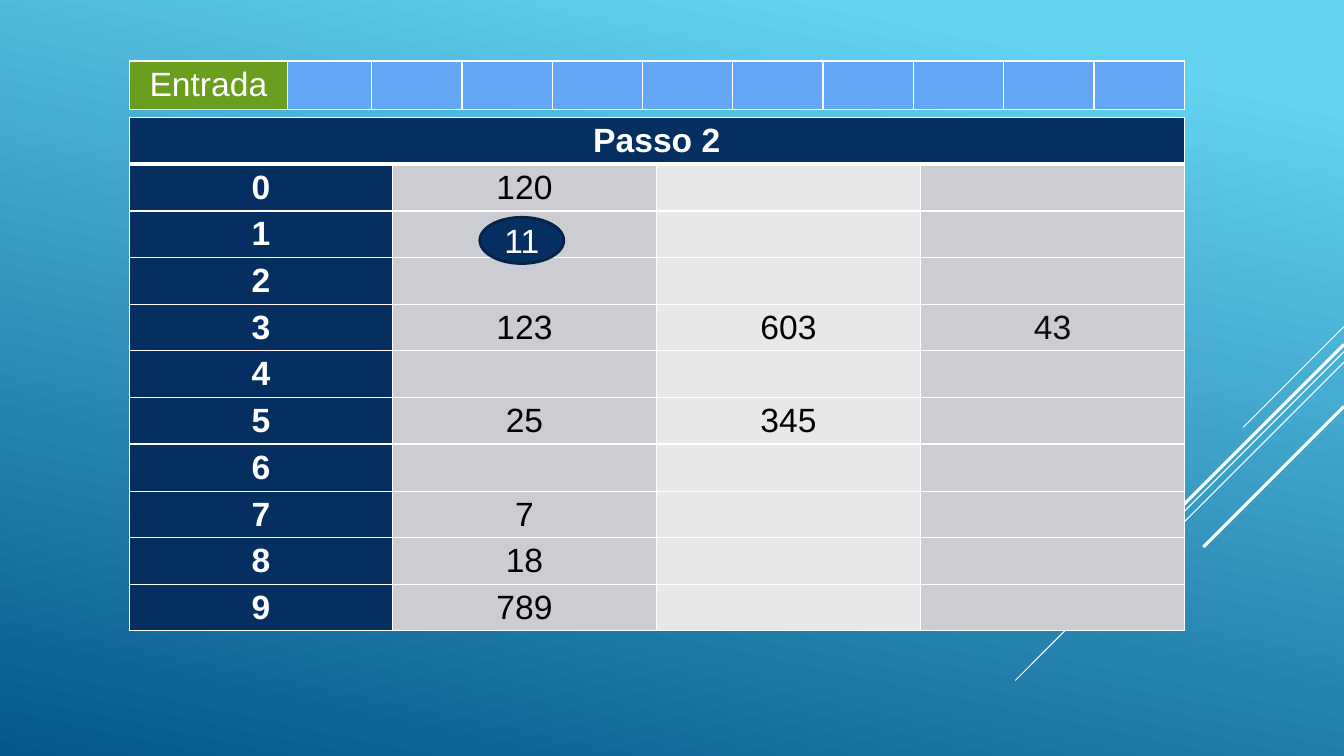
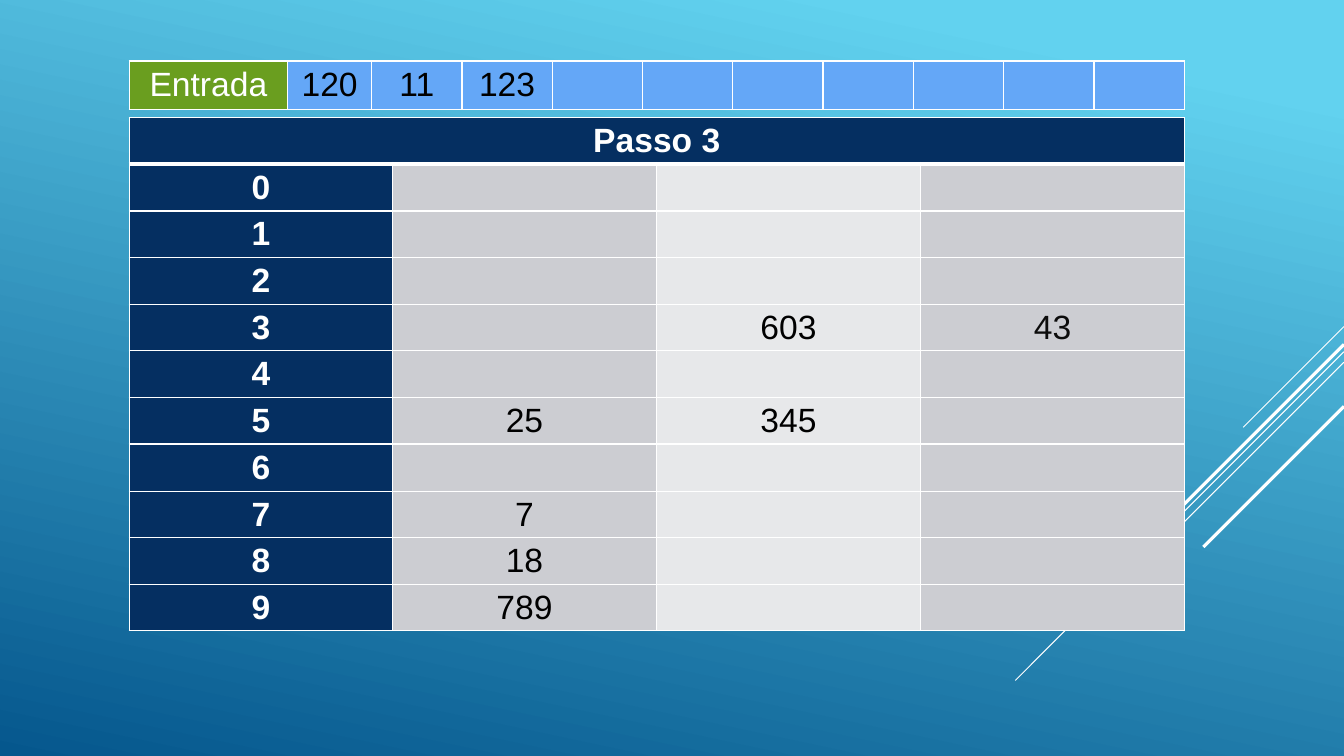
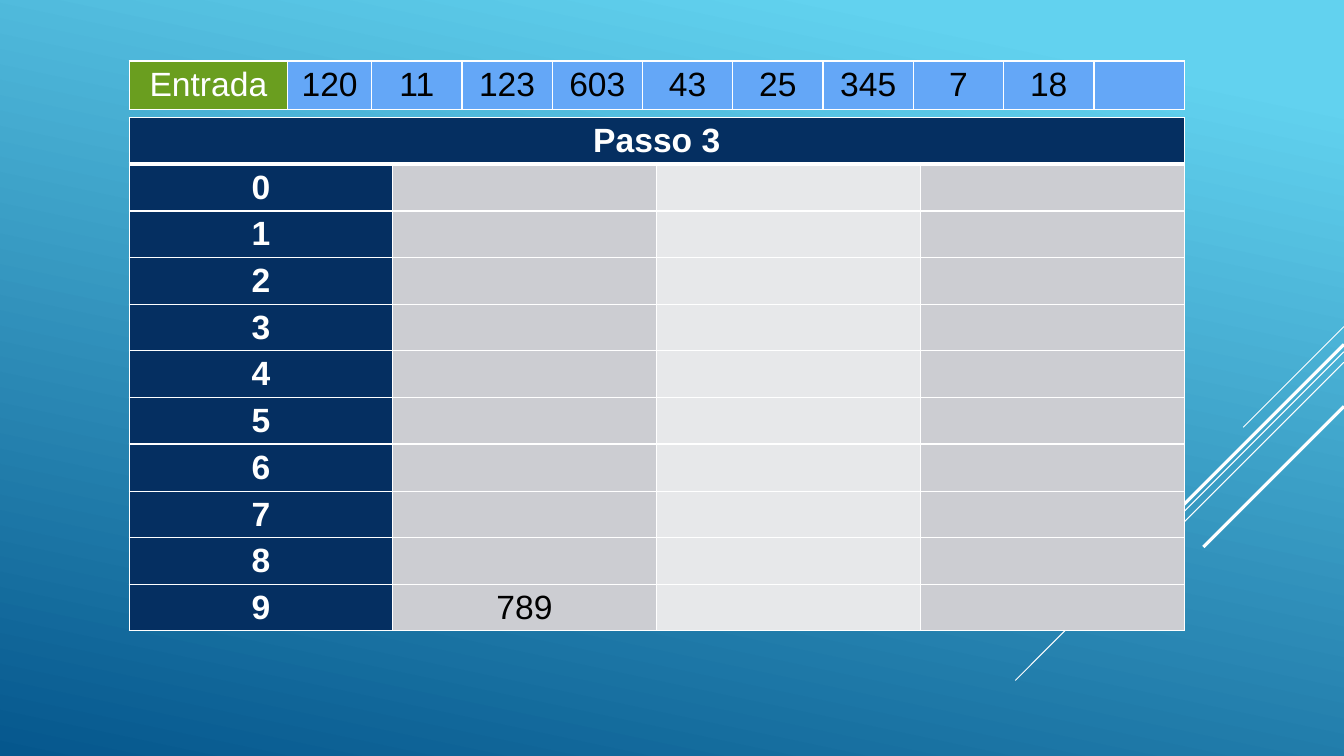
"""Three slides that follow the last passes of a radix sort."""
from copy import deepcopy

from lxml.etree import SubElement
from pptx import Presentation
from pptx.dml.color import RGBColor
from pptx.enum.shapes import MSO_CONNECTOR as Connector
from pptx.enum.shapes import MSO_SHAPE as Shape
from pptx.enum.text import MSO_ANCHOR as Anchor
from pptx.enum.text import PP_ALIGN as Align
from pptx.oxml.ns import qn
from pptx.util import Pt

PX = 9525
WIDTH, HEIGHT = 1280, 720
FONT = "Arial"
COLORS = {
    "sky": "62D2EF", "deep": "05578D", "white": "FFFFFF", "black": "000000",
    "soft_black": "0C0C0C", "navy": "052F61", "outline": "042348",
    "dark_band": "CCCDD2", "light_band": "E7E8EA", "green": "6A9E1F", "blue": "64A7F7",
}
GRADIENT = [(0, "sky"), (0.1, "sky"), (1, "deep")]
DIAGONALS = [(311, 96, 0.75), (335, 313, 0.75), (345, 199, 0.75), (328, 183, 2.25), (387, 134, 2.25)]
COLUMN_STYLES = [("navy", "white"), ("dark_band", "black"),
                 ("light_band", "black"), ("dark_band", "soft_black")]
TABLE_LEFT, INPUT_TOP, BUCKETS_TOP = 123, 58, 112
BUCKETS_WIDTH, BUCKETS_HEIGHT, BUCKET_COUNT = 1005, 489, 10
INPUT_COLUMNS = [151, 80] + [86] * 9

STEPS = [
    ("Passo 2", [],
     {0: ["120"], 3: ["123", "603", "43"], 5: ["25", "345"], 7: ["7"], 8: ["18"], 9: ["789"]}),
    ("Passo 3", ["120", "11", "123"],
     {3: ["", "603", "43"], 5: ["25", "345"], 7: ["7"], 8: ["18"], 9: ["789"]}),
    ("Passo 3", ["120", "11", "123", "603", "43", "25", "345", "7", "18"], {9: ["789"]}),
]


def rgb(name):
    """Return the named colour."""
    return RGBColor.from_string(COLORS[name])


def split(total, count):
    """Divide a length into whole parts that differ by one at most."""
    edges = [round(total * index / count) for index in range(count + 1)]
    return [end - start for start, end in zip(edges, edges[1:])]


def write(text_frame, text, color, bold=False):
    """Write one centred run."""
    paragraph = text_frame.paragraphs[0]
    paragraph.alignment = Align.CENTER
    run = paragraph.add_run()
    run.text = text
    run.font.name, run.font.size, run.font.bold = FONT, Pt(24), bold
    run.font.color.rgb = rgb(color)


def set_borders(cell, top=1, bottom=1):
    """Give a cell white borders of the given widths in points."""
    properties = cell._tc.get_or_add_tcPr()
    for side, width in (("L", 1), ("R", 1), ("T", top), ("B", bottom)):
        line = SubElement(properties, qn(f"a:ln{side}"), w=str(Pt(width)))
        SubElement(SubElement(line, qn("a:solidFill")), qn("a:srgbClr"), val=COLORS["white"])


def format_cell(cell, text, fill, color, bold=False, **borders):
    """Set borders, fill, margins and text of a cell."""
    set_borders(cell, **borders)
    cell.fill.solid()
    cell.fill.fore_color.rgb = rgb(fill)
    cell.vertical_anchor = Anchor.MIDDLE
    cell.margin_top = cell.margin_bottom = 3 * PX
    if text:
        write(cell.text_frame, text, color, bold)


def add_grid(slide, top, widths, heights):
    """Add a table with the given column widths and row heights."""
    table = slide.shapes.add_table(len(heights), len(widths), TABLE_LEFT * PX, top * PX,
                                   sum(widths) * PX, sum(heights) * PX).table
    table.first_row = table.horz_banding = False
    for column, width in zip(table.columns, widths):
        column.width = width * PX
    for row, height in zip(table.rows, heights):
        row.height = height * PX
    return table


def add_buckets(slide, title, buckets):
    """Add the table of digits and the numbers held by each."""
    table = add_grid(slide, BUCKETS_TOP, split(BUCKETS_WIDTH, len(COLUMN_STYLES)),
                     split(BUCKETS_HEIGHT, BUCKET_COUNT + 1))
    for index in range(len(COLUMN_STYLES)):
        format_cell(table.cell(0, index), "" if index else title, "navy", "white", True, bottom=3)
    table.cell(0, 0).merge(table.cell(0, len(COLUMN_STYLES) - 1))
    for digit in range(BUCKET_COUNT):
        texts = [str(digit)] + buckets.get(digit, [])
        texts += [""] * (len(COLUMN_STYLES) - len(texts))
        for index, (text, (fill, color)) in enumerate(zip(texts, COLUMN_STYLES)):
            format_cell(table.cell(digit + 1, index), text, fill, color,
                        index == 0, top=1 if digit else 3)


def add_input(slide, numbers):
    """Add the input row with the numbers collected so far."""
    table = add_grid(slide, INPUT_TOP, INPUT_COLUMNS, [46])
    format_cell(table.cell(0, 0), "Entrada", "green", "white")
    for index in range(1, len(INPUT_COLUMNS)):
        text = numbers[index - 1] if index <= len(numbers) else ""
        format_cell(table.cell(0, index), text, "blue", "black")


def add_moving_number(slide, text, left, top):
    """Add the oval around the number on the move."""
    oval = slide.shapes.add_shape(Shape.OVAL, left * PX, top * PX, 80 * PX, 44 * PX)
    oval.shadow.inherit = False
    oval.fill.solid()
    oval.fill.fore_color.rgb = rgb("navy")
    oval.line.color.rgb = rgb("outline")
    oval.line.width = Pt(2)
    oval.text_frame.word_wrap = False
    oval.text_frame.vertical_anchor = Anchor.MIDDLE
    write(oval.text_frame, text, "white")


def set_background(master):
    """Give the master its gradient background."""
    fill = master.background.fill
    fill.gradient()
    fill.gradient_angle = 258
    stop_list = master.element.xpath(".//p:bg//a:gsLst")[0]
    stop_list.append(deepcopy(stop_list[0]))
    for stop, (position, color) in zip(fill.gradient_stops, GRADIENT):
        stop.position = position
        stop.color.rgb = rgb(color)


def add_diagonals(master, slide):
    """Draw the diagonal lines and move them to the master."""
    for top, length, width in DIAGONALS:
        line = slide.shapes.add_connector(Connector.STRAIGHT, WIDTH * PX, top * PX,
                                          (WIDTH - length) * PX, (top + length) * PX)
        line.line.color.rgb = rgb("white")
        line.line.width = Pt(width)
        SubElement(line._element.spPr, qn("a:effectLst"))
        master.shapes._spTree.append(line._element)


def main():
    """Build and save the presentation."""
    presentation = Presentation()
    presentation.slide_width, presentation.slide_height = WIDTH * PX, HEIGHT * PX
    slides = [presentation.slides.add_slide(presentation.slide_layouts[6]) for _ in STEPS]
    set_background(presentation.slide_master)
    add_diagonals(presentation.slide_master, slides[0])
    for slide, (title, numbers, buckets) in zip(slides, STEPS):
        add_buckets(slide, title, buckets)
        add_input(slide, numbers)
    add_moving_number(slides[0], "11", 457, 207)
    presentation.save("out.pptx")


if __name__ == "__main__":
    main()
